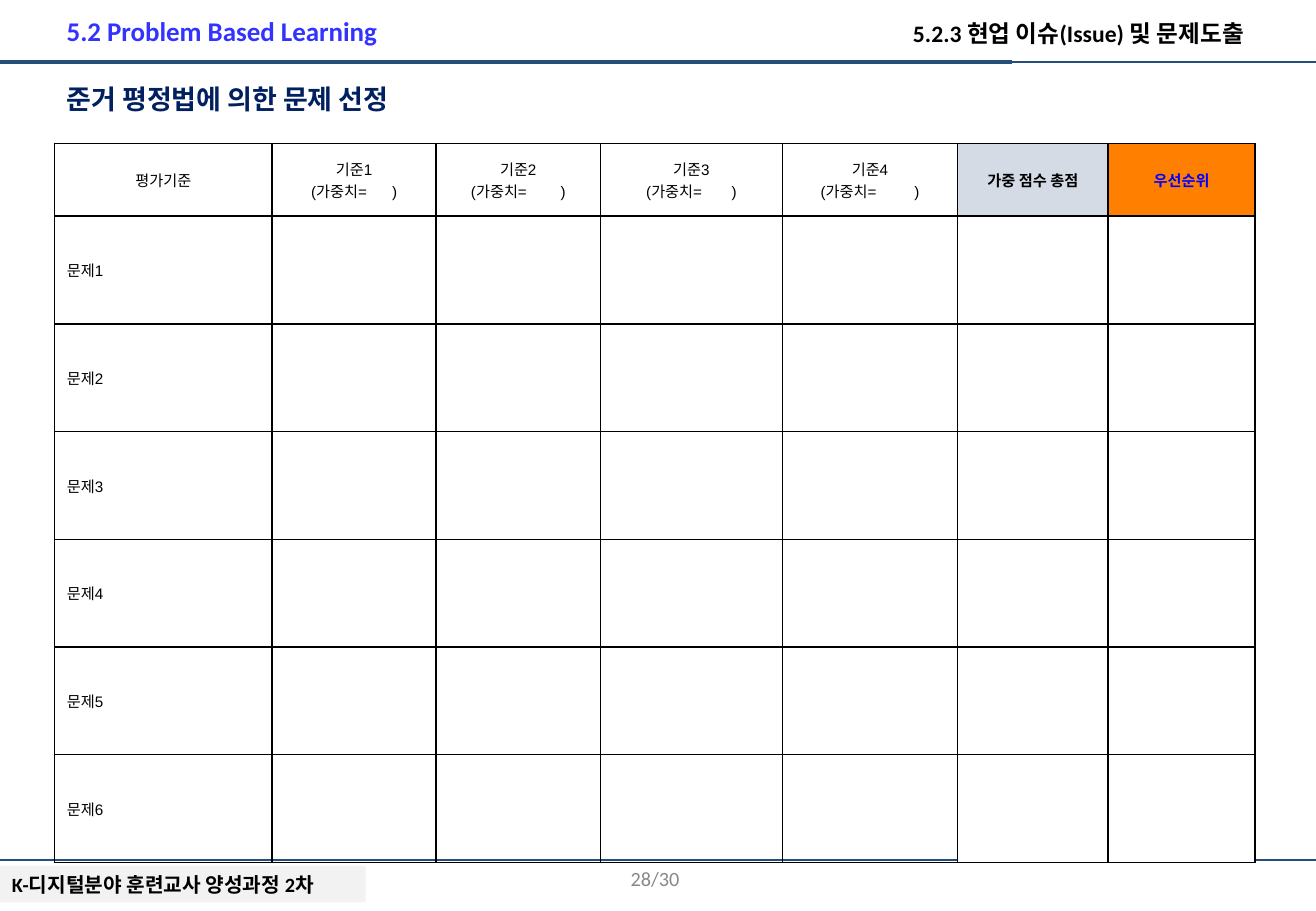
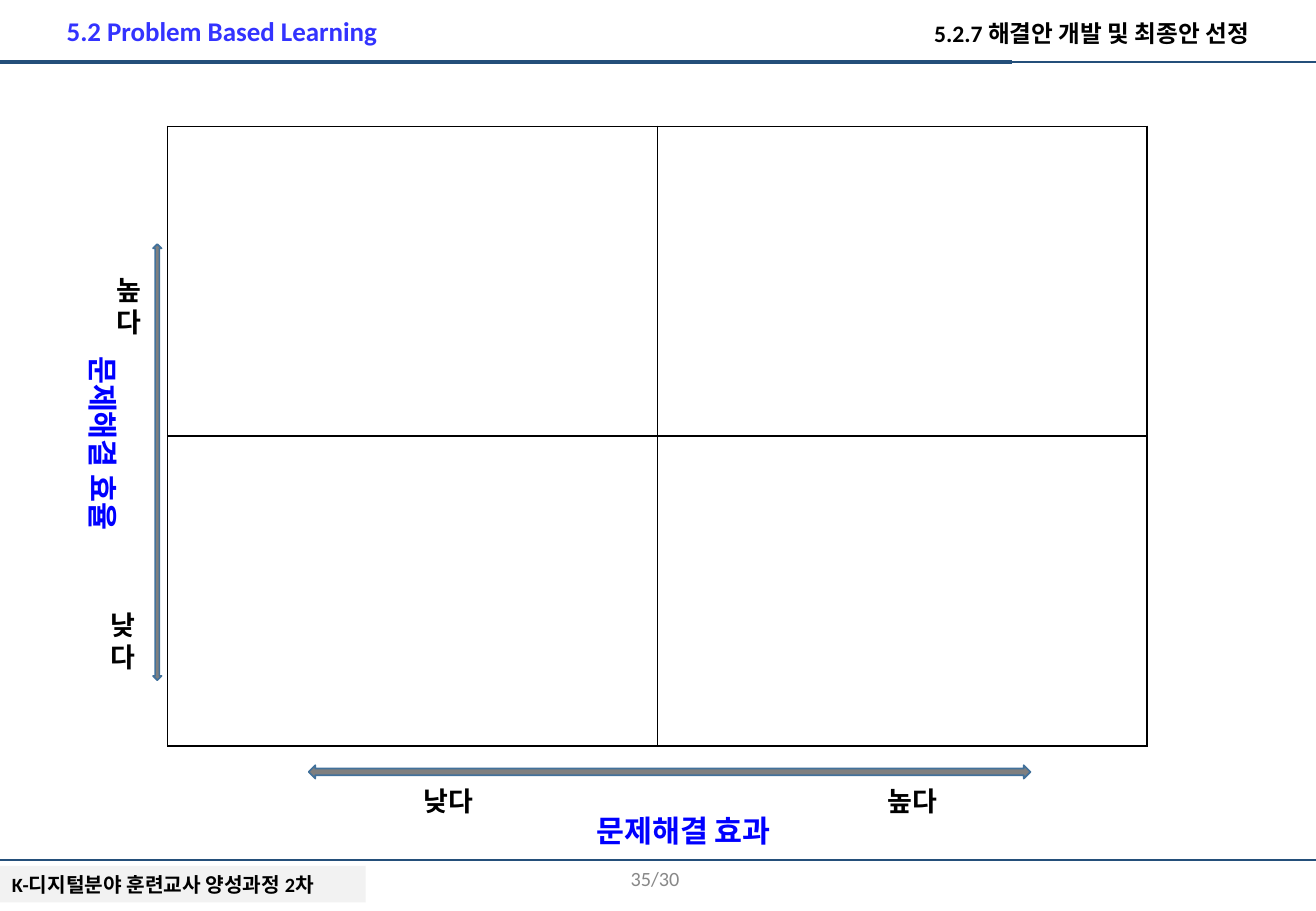
from lxml import etree
from pptx import Presentation
from pptx import util as u
from pptx.dml.color import RGBColor
from pptx.enum import shapes, text
from pptx.oxml import ns

PX = 9144  # 100 px to the inch
WIDE, HIGH = 1083, 750
LEFT, MID, RIGHT = text.PP_ALIGN.LEFT, text.PP_ALIGN.CENTER, text.PP_ALIGN.RIGHT

THEME = {
    "color": {name: RGBColor.from_string(code) for name, code in {
        "black": "000000", "white": "FFFFFF", "rule": "244F7A", "band": "F2F2F2",
        "link": "3333FF", "navy": "002060", "blue": "0000FF", "gray": "888888",
        "score": "D5DBE5", "rank": "FF7F00", "arrow": "7F7F7F", "edge": "42719B",
    }.items()},
    "style": {
        "foot": ("black", {"size": u.Pt(12), "name": "Calibri", "bold": True}),
        "unit": ("black", {"size": u.Pt(14), "name": "Calibri", "bold": True}),
        "part": ("link", {"size": u.Pt(16), "name": "Calibri", "bold": True}),
        "title": ("navy", {"size": u.Pt(16), "name": "Noto Sans CJK KR", "bold": True}),
        "axis": ("blue", {"size": u.Pt(18), "name": "Calibri", "bold": True}),
        "level": ("black", {"size": u.Pt(16), "name": "Calibri", "bold": True}),
        "page": ("gray", {"size": u.Pt(12), "name": "Calibri", "bold": False}),
        "cell": ("black", {"size": u.Pt(9), "name": "Arial", "bold": False}),
        "total": ("black", {"size": u.Pt(9), "name": "Arial", "bold": True}),
        "order": ("blue", {"size": u.Pt(9), "name": "Arial", "bold": True}),
    },
}
COLOR = THEME["color"]


def write(frame, lines, style, align):
    """Fill a text frame, one paragraph a line; "|" parts the runs of a line."""
    tint, form = THEME["style"][style]
    for at, line in enumerate(lines):
        para = frame.add_paragraph() if at else frame.paragraphs[0]
        para.alignment = align
        for part in line.split("|"):
            run = para.add_run()
            run.text = part
            run.font.color.rgb = COLOR[tint]
            for key, value in form.items():
                setattr(run.font, key, value)


def grid(slide, left, top, cols, rows):
    """Add a table with thin black borders and no fill."""
    frame = slide.shapes.add_table(len(rows), len(cols), left * PX, top * PX,
                                   sum(cols) * PX, int(sum(rows) * PX))
    table = frame.table
    table.first_row = table.horz_banding = False
    for col, size in zip(table.columns, cols):
        col.width = size * PX
    for row, size in zip(table.rows, rows):
        row.height = int(size * PX)
    for cell in table.iter_cells():
        props = cell._tc.get_or_add_tcPr()
        for side in ("a:lnL", "a:lnR", "a:lnT", "a:lnB"):
            line = etree.SubElement(props, ns.qn(side), w=str(u.Pt(1)))
            fill = etree.SubElement(line, ns.qn("a:solidFill"))
            etree.SubElement(fill, ns.qn("a:srgbClr"), val=str(COLOR["black"]))
        cell.fill.background()
        cell.vertical_anchor = text.MSO_ANCHOR.MIDDLE
    return table


deck = Presentation()
deck.slide_width, deck.slide_height = WIDE * PX, HIGH * PX

# Frame shared by both slides
slides = []
for _ in range(2):
    slide = deck.slides.add_slide(deck.slide_layouts[6])
    slides.append(slide)
    band = slide.shapes.add_shape(shapes.MSO_SHAPE.RECTANGLE, 0, 713 * PX, 301 * PX, 30 * PX)
    band.shadow.inherit = False
    band.fill.solid()
    band.fill.fore_color.rgb = COLOR["band"]
    band.line.fill.background()
    band.text_frame.word_wrap = True
    write(band.text_frame, ["K-디지털분야 훈련교사 양성과정 2차"], "foot", LEFT)
    for end, y, size in ((WIDE, 51, 0.75), (833, 51, 2.5), (WIDE, 708, 0.75)):
        rule = slide.shapes.add_connector(shapes.MSO_CONNECTOR.STRAIGHT, 0, y * PX, end * PX, y * PX)
        rule.line.color.rgb = COLOR["rule"]
        rule.line.width = u.Pt(size)
        etree.SubElement(rule._element.spPr, ns.qn("a:effectLst"))
first, second = slides

# Rating table
count = 6
rate = grid(first, 45, 118, [179, 135, 135, 150, 144, 124, 121], [60] + [532 / count] * count)
write(rate.cell(0, 0).text_frame, ["평가기준"], "cell", MID)
for col, gap in enumerate((1250, 1750, 1500, 2000), 1):
    frame = rate.cell(0, col).text_frame
    write(frame, [f"기준{col}", "(가중치=| |)"], "cell", MID)
    frame.paragraphs[1].runs[1]._r.get_or_add_rPr().set("spc", str(gap))
for col, head, style, tint in ((5, "가중 점수 총점", "total", "score"), (6, "우선순위", "order", "rank")):
    write(rate.cell(0, col).text_frame, [head], style, MID)
    for row in range(count + 1):
        fill = rate.cell(row, col).fill
        fill.solid()
        fill.fore_color.rgb = COLOR["white" if row else tint]
for row in range(1, count + 1):
    write(rate.cell(row, 0).text_frame, [f"문제{row}"], "cell", LEFT)

# Effect and efficiency matrix
grid(second, 138, 104, [403] * 2, [255] * 2)
for left, top, wide, high, turn in ((254, 630, 594, 11, 0), (-50, 377, 359, 7, 270)):
    arrow = second.shapes.add_shape(shapes.MSO_SHAPE.LEFT_RIGHT_ARROW,
                                    left * PX, top * PX, wide * PX, high * PX)
    arrow.shadow.inherit = False
    arrow.rotation = turn
    arrow.fill.solid()
    arrow.fill.fore_color.rgb = COLOR["arrow"]
    arrow.line.color.rgb = COLOR["edge"]
    arrow.line.width = u.Pt(1)

# Headings, labels and page numbers
part = ("5.2 Problem Based Learning", 45, 7, 329, 37, "part", LEFT, 0)
labels = (
    (first, (
        part,
        ("5.2.3 현업 이슈(Issue) 및 문제도출 ", 701, 11, 337, 34, "unit", RIGHT, 0),
        ("준거 평정법에 의한 문제 선정", 45, 63, 599, 37, "title", LEFT, 0),
        ("28/30", 325, 703, 244, 40, "page", RIGHT, 0),
    )),
    (second, (
        part,
        ("5.2.7 해결안 개발 및 최종안 선정", 723, 11, 315, 34, "unit", RIGHT, 0),
        ("문제해결 효과", 468, 664, 189, 40, "axis", MID, 0),
        ("문제해결 효율", -19, 340, 198, 50, "axis", MID, 90),
        ("높다", 86, 220, 47, 64, "level", LEFT, 0),
        ("낮다", 81, 496, 47, 64, "level", LEFT, 0),
        ("낮다", 322, 641, 94, 37, "level", MID, 0),
        ("높다", 704, 641, 94, 37, "level", MID, 0),
        ("35/30", 325, 703, 244, 40, "page", RIGHT, 0),
    )),
)
for slide, items in labels:
    for words, left, top, wide, high, style, align, turn in items:
        box = slide.shapes.add_textbox(left * PX, top * PX, wide * PX, high * PX)
        box.rotation = turn
        frame = box.text_frame
        frame.word_wrap = True
        if style == "page":
            frame.vertical_anchor = text.MSO_ANCHOR.MIDDLE
        else:
            frame.auto_size = text.MSO_AUTO_SIZE.SHAPE_TO_FIT_TEXT
        write(frame, [words], style, align)

deck.save("out.pptx")
